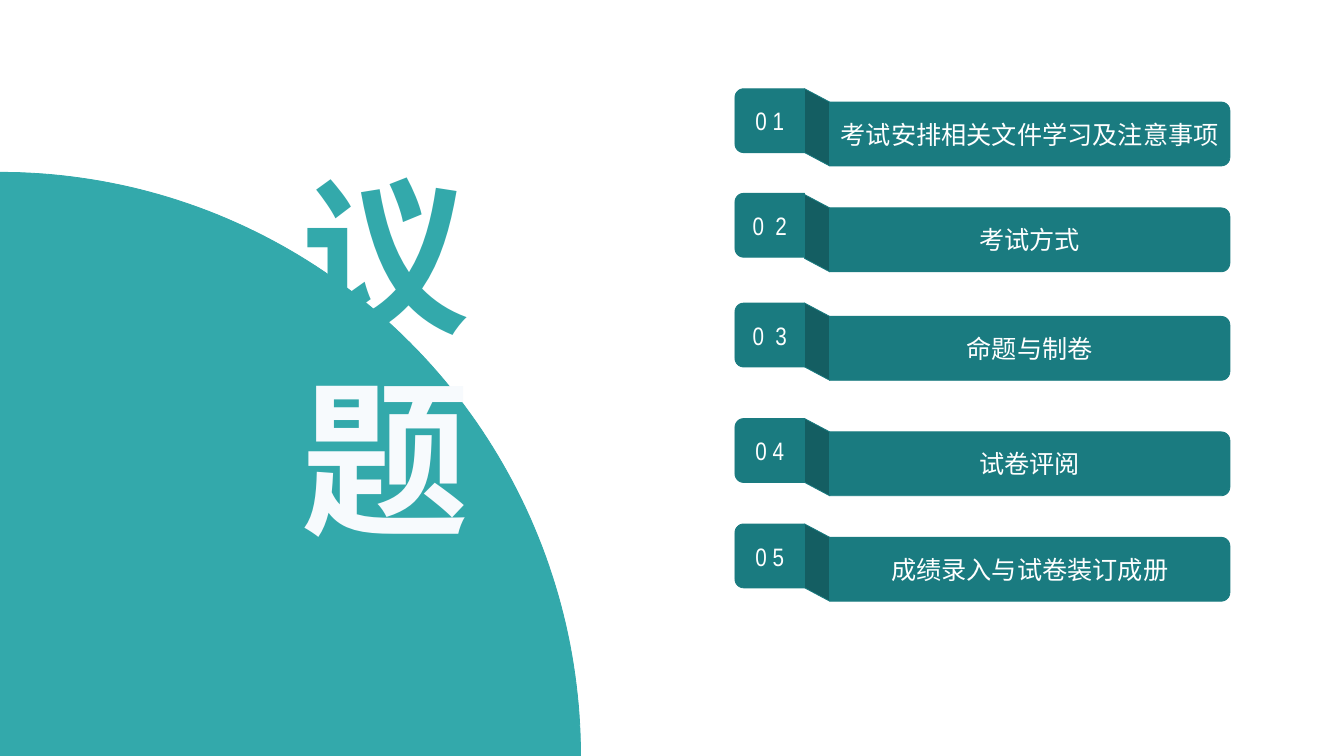
"""Build the agenda slide: a quarter disc, a large title and five folded banners."""
from math import cos, pi, sin

from lxml.etree import SubElement
from pptx import Presentation
from pptx.dml.color import RGBColor
from pptx.enum.text import MSO_ANCHOR as ANCHOR, PP_ALIGN as ALIGN
from pptx.oxml.ns import qn
from pptx.util import Pt

CJK, NARROW = "Noto Sans CJK SC", "Arial Narrow"
TEAL, BANNER, FOLD, WHITE, PALE = "33A9AB", "1A7B80", "145E62", "FFFFFF", "F7FAFD"
rgb = RGBColor.from_string


def add_outline(shapes, points, fill, line):
    """Add a closed outline through points given in points."""
    pts = [(Pt(x), Pt(y)) for x, y in points]
    fb = shapes.build_freeform(*pts[0])
    fb.add_line_segments(pts[1:], close=True)
    sp = fb.convert_to_shape()
    sp.shadow.inherit = False
    sp.fill.solid()
    sp.fill.fore_color.rgb = rgb(fill)
    sp.line.color.rgb = rgb(line)
    sp.line.width = Pt(0.6)
    return sp


def add_run(p, text, size, font):
    """Add a run set in one font for Latin and East Asian text."""
    r = p.add_run()
    r.text = text
    r.font.size = Pt(size)
    r.font.name = font
    SubElement(r.font._element, qn("a:ea"), typeface=font)
    return r


prs = Presentation()
prs.slide_width, prs.slide_height = Pt(960), Pt(540)
s = prs.slides.add_slide(prs.slide_layouts[6])

steps = 90
arc = [(414.7 * sin(pi / 2 * i / steps), 540 - 416.9 * cos(pi / 2 * i / steps))
       for i in range(steps + 1)]
add_outline(s.shapes, [(0, 540)] + arc, TEAL, TEAL)

tab_left, fold_left, bar_left, bar_right = 525, 574.7, 592.6, 878.5
height, drop, radius = 45.6, 9.5, 6.2
turn = [pi / 2 * i / 8 for i in range(9)]

items = [
    ("0 1", "考试安排相关文件学习及注意事项", 63.4, 0, 0),
    ("0 2", "考试方式", 139, 0.9, 2),
    ("0 3", "命题与制卷", 216.5, 0, 2),
    ("0 4", "试卷评阅", 299, 0, 0),
    ("0 5", "成绩录入与试卷装订成册", 374.3, 0, 0),
]
for number, label, top, tab_rise, tracking in items:
    g = s.shapes.add_group_shape()
    bar_top, tab_top = top + drop, top - tab_rise

    right, low = bar_right - radius, bar_top + height - radius
    bar = add_outline(
        g.shapes,
        [(bar_left, bar_top)]
        + [(right + radius * sin(a), bar_top + radius - radius * cos(a)) for a in turn]
        + [(right + radius * cos(a), low + radius * sin(a)) for a in turn]
        + [(bar_left, bar_top + height)],
        BANNER, BANNER)

    add_outline(
        g.shapes,
        [(fold_left, top), (bar_left, bar_top),
         (bar_left, bar_top + height), (fold_left, top + height)],
        FOLD, BANNER)

    left, low = tab_left + radius, tab_top + height - radius
    tab = add_outline(
        g.shapes,
        [(fold_left, tab_top), (fold_left, tab_top + height)]
        + [(left - radius * sin(a), low + radius * cos(a)) for a in turn]
        + [(left - radius * cos(a), tab_top + radius - radius * sin(a)) for a in turn],
        BANNER, BANNER)

    for sp, text, font in ((bar, label, CJK), (tab, number, NARROW)):
        tf = sp.text_frame
        tf.margin_left = tf.margin_right = tf.margin_top = tf.margin_bottom = 0
        tf.vertical_anchor = ANCHOR.MIDDLE
        tf.word_wrap = True
        p = tf.paragraphs[0]
        p.alignment = ALIGN.CENTER
        r = add_run(p, text, 18, font)
        r.font.color.rgb = rgb(WHITE)
        if sp is tab and tracking:
            r.font._element.set("spc", str(tracking * 100))

title = s.shapes.add_textbox(Pt(208), Pt(92.9), Pt(220.3), Pt(298))
tf = title.text_frame
tf.word_wrap = True
tf.margin_top = Pt(13.6)
for i, char in enumerate("议题"):
    p = tf.paragraphs[0] if i == 0 else tf.add_paragraph()
    p.alignment = ALIGN.JUSTIFY
    p.line_spacing = Pt(145.5)
    r = add_run(p, char, 120, CJK)
    r.font.bold = True
    if i == 0:
        r.font.color.rgb = rgb(TEAL)
    else:
        r.font.fill.gradient()
        r.font.fill.gradient_angle = 40
        for stop, position, color in zip(r.font.fill.gradient_stops, (0.61, 0.62), (PALE, TEAL)):
            stop.position = position
            stop.color.rgb = rgb(color)

prs.save("out.pptx")
